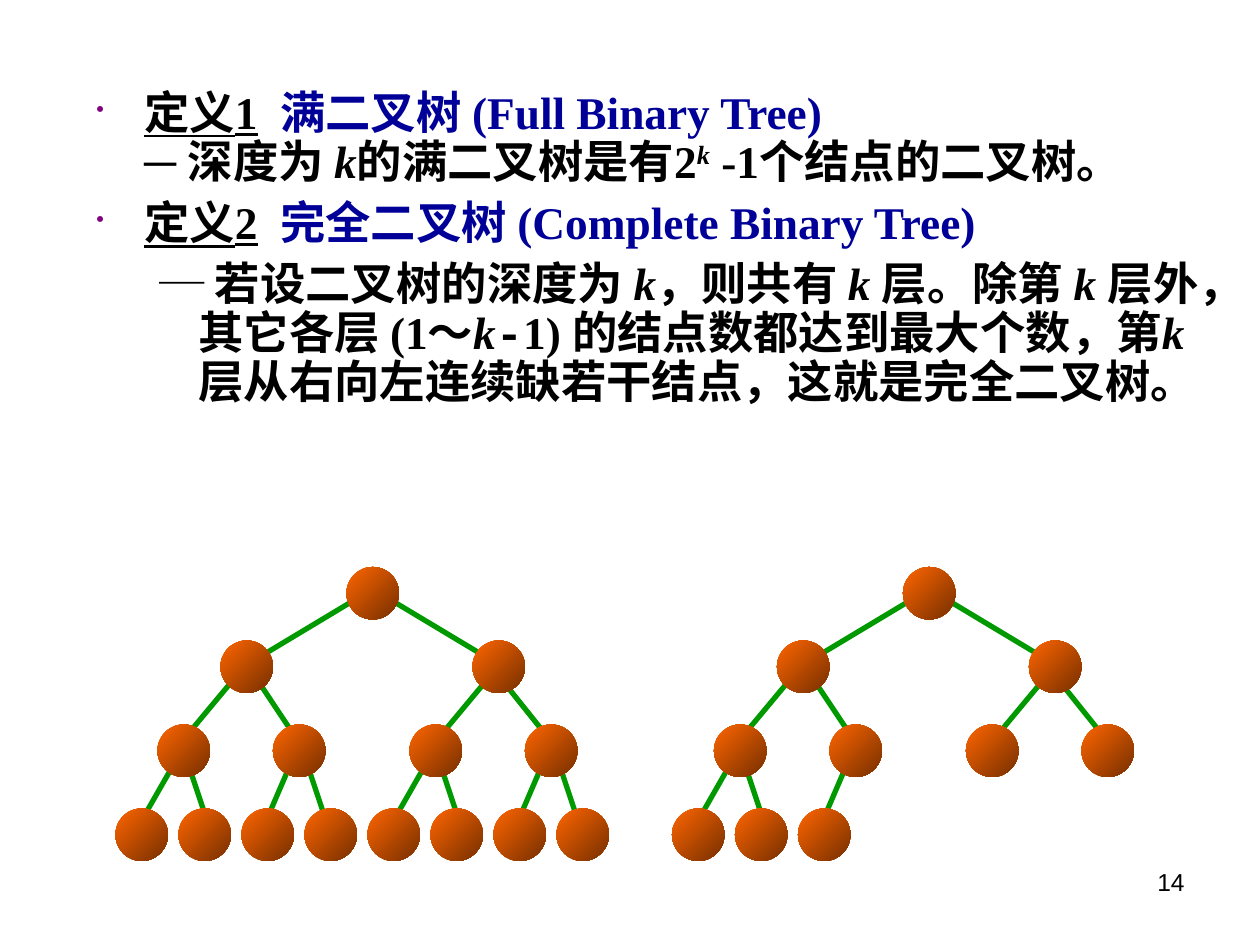
from dataclasses import dataclass

from lxml import etree
from pptx import Presentation
from pptx import util as u
from pptx.dml.color import RGBColor
from pptx.enum import shapes, text
from pptx.oxml import ns


@dataclass(frozen=True)
class Theme:
    ink: str = "000000"
    term: str = "000099"
    bullet: str = "800080"
    edge: str = "009900"
    node_light: str = "FF6600"
    node_dark: str = "762F00"
    body_size: float = 25.9
    number_size: float = 14
    edge_width: float = 3
    serif: str = "Times New Roman"
    sans: str = "Arial"
    mono: str = "Courier New"
    cjk: str = "Noto Sans CJK SC"


THEME = Theme()
COLUMNS, ROWS = 120, 90  # grid of twelve cells to the inch
NODE_SIZE = 5

# Node corners (column, row), level by level from the root
LEVELS = [
    (54, [33]),
    (61, [21, 45]),
    (69, [15, 26, 39, 50]),
    (77, range(11, 54, 6)),
]
NODES = [(column, row) for row, columns in LEVELS for column in columns]

# Edge from the parent to each node after the root, in the same order
EDGES = [
    (34, 57, 24, 63), (37, 57, 47, 63),
    (22, 65, 17, 71), (24, 64, 28, 70), (47, 64, 42, 70), (48, 65, 52, 70),
    (17, 72, 13, 79), (18, 73, 20, 79), (28, 72, 25, 79), (29, 72, 31, 78),
    (41, 72, 37, 79), (42, 73, 44, 79), (52, 72, 49, 79), (53, 72, 55, 78),
]


def add_text(paragraph, content, size=THEME.body_size, font=THEME.serif,
             color=THEME.ink, bold=True, italic=False, underline=False, raised=False):
    run = paragraph.add_run()
    run.text = content
    run.font.size = u.Pt(size)
    run.font.name = font
    run.font.color.rgb = RGBColor.from_string(color)
    run.font.bold, run.font.italic, run.font.underline = bold, italic, underline
    properties = run.font._element
    if raised:
        properties.set("baseline", "30000")
    east_asian = etree.Element(ns.qn("a:ea"), typeface=THEME.cjk)
    properties.find(ns.qn("a:latin")).addnext(east_asian)


class SlideBuilder:
    def __init__(self, presentation, theme):
        self.theme = theme
        self.slide = presentation.slides.add_slide(presentation.slide_layouts[6])
        self.cell_width = presentation.slide_width / COLUMNS
        self.cell_height = presentation.slide_height / ROWS

    def x(self, columns):
        return u.Emu(round(columns * self.cell_width))

    def y(self, rows):
        return u.Emu(round(rows * self.cell_height))

    def text_box(self, column, row, columns, rows):
        box = self.slide.shapes.add_textbox(
            self.x(column), self.y(row), self.x(columns), self.y(rows))
        box.text_frame.word_wrap = True
        return box.text_frame

    def paragraph(self, frame, margin, indent, bullet=False, level=0):
        first = not frame.paragraphs[0].runs
        paragraph = frame.paragraphs[0] if first else frame.add_paragraph()
        paragraph.level = level
        paragraph.line_spacing = 0.9
        paragraph.space_before = u.Pt(0 if first else 7)
        properties = paragraph._p.get_or_add_pPr()
        properties.set("marL", str(u.Inches(margin)))
        properties.set("indent", str(u.Inches(indent)))
        if bullet:
            color = etree.SubElement(properties, ns.qn("a:buClr"))
            etree.SubElement(color, ns.qn("a:srgbClr"), val=self.theme.bullet)
            etree.SubElement(properties, ns.qn("a:buSzPct"), val="50000")
            etree.SubElement(properties, ns.qn("a:buChar"), char="•")
        return paragraph

    def definition(self, frame, label, term):
        paragraph = self.paragraph(frame, 0.38, -0.38, bullet=True)
        add_text(paragraph, label, underline=True)
        add_text(paragraph, "  ")
        add_text(paragraph, term, color=self.theme.term)
        return paragraph

    def edge(self, x1, y1, x2, y2):
        line = self.slide.shapes.add_connector(
            shapes.MSO_CONNECTOR.STRAIGHT, self.x(x1), self.y(y1), self.x(x2), self.y(y2))
        line.line.color.rgb = RGBColor.from_string(self.theme.edge)
        line.line.width = u.Pt(self.theme.edge_width)
        etree.SubElement(line._element.spPr, ns.qn("a:effectLst"))

    def node(self, column, row):
        circle = self.slide.shapes.add_shape(
            shapes.MSO_SHAPE.OVAL, self.x(column), self.y(row),
            self.x(NODE_SIZE), self.y(NODE_SIZE))
        circle.shadow.inherit = False
        circle.line.fill.background()
        circle.fill.gradient()
        circle.fill.gradient_angle = 315
        colors = (self.theme.node_light, self.theme.node_dark)
        for stop, color, position in zip(circle.fill.gradient_stops, colors, (0, 1)):
            stop.color.rgb = RGBColor.from_string(color)
            stop.position = position

    def tree(self, shift, count):
        for x1, y1, x2, y2 in EDGES[:count - 1]:
            self.edge(x1 + shift, y1, x2 + shift, y2)
        for column, row in NODES[:count]:
            self.node(column + shift, row)


def main():
    presentation = Presentation()
    presentation.slide_width, presentation.slide_height = u.Inches(10), u.Inches(7.5)
    builder = SlideBuilder(presentation, THEME)

    # Full tree on the left, complete tree on the right
    builder.tree(shift=0, count=15)
    builder.tree(shift=53, count=10)

    # Definitions
    body = builder.text_box(8, 8, 108, 44)
    full = builder.definition(body, "定义1", "满二叉树 (Full Binary Tree)")
    full.add_line_break()
    add_text(full, "─ 深度为 ")
    add_text(full, "k", italic=True)
    add_text(full, "的满二叉树是有2")
    add_text(full, "k", italic=True, raised=True)
    add_text(full, " -1个结点的二叉树。")

    builder.definition(body, "定义2", "完全二叉树 (Complete Binary Tree)")
    complete = builder.paragraph(body, 0.81, -0.31, level=1)
    for content, style in [
        ("─ 若设二叉树的深度为 ", {}),
        ("k", {"italic": True}),
        ("，则共有 ", {}),
        ("k ", {"italic": True}),
        ("层。除第 ", {}),
        ("k ", {"italic": True}),
        ("层外，其它各层 (1", {}),
        ("～", {"font": THEME.cjk}),
        ("k", {"italic": True}),
        ("-", {"font": THEME.mono}),
        ("1) 的结点数都达到最大个数，第", {}),
        ("k", {"italic": True}),
        ("层从右向左连续缺若干结点，这就是完全二叉树。", {}),
    ]:
        add_text(complete, content, **style)

    # Slide number
    number = builder.text_box(86, 82, 28, 6.25).paragraphs[0]
    number.alignment = text.PP_ALIGN.RIGHT
    add_text(number, "14", size=THEME.number_size, font=THEME.sans, bold=False)

    presentation.save("out.pptx")


if __name__ == "__main__":
    main()
